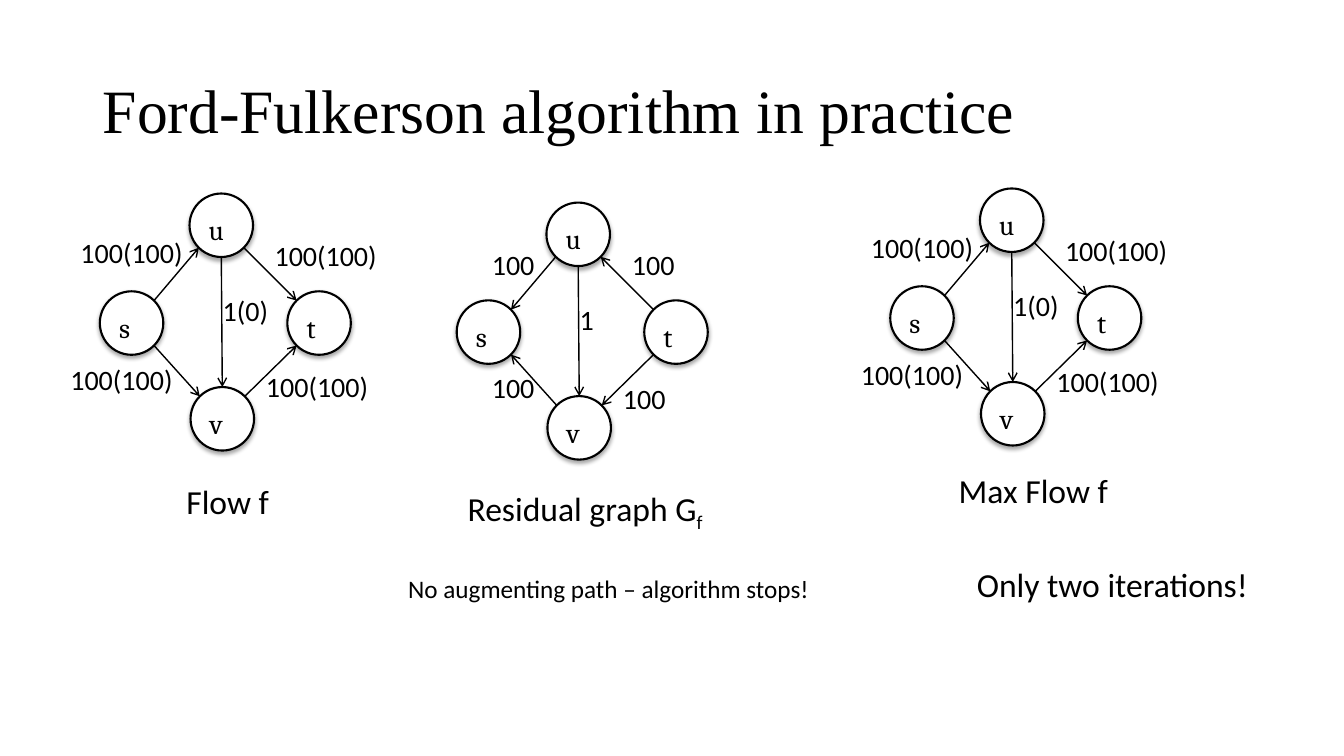
from dataclasses import dataclass
from math import sqrt

from lxml.etree import SubElement as Sub
from pptx import Presentation
from pptx.dml.color import RGBColor
from pptx.enum.shapes import MSO_CONNECTOR as Link, MSO_SHAPE as Shape
from pptx.enum.text import MSO_ANCHOR as Anchor, MSO_AUTO_SIZE as Fit, PP_ALIGN as Align
from pptx.oxml.ns import qn
from pptx.shapes.shapetree import GroupShapes
from pptx.text.text import Font
from pptx.util import Inches, Length, Pt

CELL = 0.1
SIDE = 6.3
BLACK, WHITE = "000000", "FFFFFF"
NODES = {"u": (8.9, 0), "t": (18.6, 9.7), "s": (0, 9.7), "v": (9, 19.2)}


@dataclass
class Label:
    """Text whose box starts at a column and row."""
    text: str
    col: float
    row: float
    wide: float
    size: int = 20
    sub: str = ""


@dataclass
class Edge:
    """Line between two nodes, leaving in direction (dx, dy)."""
    start: str
    end: str
    dx: int
    dy: int


@dataclass
class Graph:
    """Flow network placed at a column and row."""
    col: float
    row: float
    labels: list[Label]
    back: bool = False


EDGES = [Edge("s", "u", 1, -1), Edge("s", "v", 1, 1), Edge("u", "t", 1, 1),
         Edge("v", "t", 1, -1), Edge("u", "v", 0, 1)]


def flow(title: Label) -> list[Label]:
    """Labels of a network with saturated outer edges."""
    spots = [(-2.9, 3.7), (16.35, 4), (-3.9, 16.3), (15.5, 17)]
    outer = [Label("100(100)", col, row, 12.3) for col, row in spots]
    return [*outer, Label("1(0)", 11.2, 9.4, 6.6), title]


def rest(title: Label) -> list[Label]:
    """Labels of the residual network."""
    spots = [(2.5, 4), (16.4, 4), (2.5, 16.2), (15.5, 17.3)]
    outer = [Label("100", col, row, 6.4) for col, row in spots]
    return [*outer, Label("1", 11.2, 9.4, 3.4), title]


GRAPHS = [
    Graph(9.9, 19.2, flow(Label("Flow f", 7.6, 28, 10.3, 24))),
    Graph(45.3, 20.1, rest(Label("Residual graph G", 0.1, 27.8, 25.6, 24, "f")), True),
    Graph(88.3, 18.7, flow(Label("Max Flow f", 5.8, 27.4, 16.9, 24))),
]
NOTES = [Label("No augmenting path – algorithm stops!", 39.5, 56.4, 42.3, 18),
         Label("Only two iterations!", 95.9, 55.4, 29.2, 24)]


def grid(*cells: float) -> list[Length]:
    """Turn counts of grid cells into lengths."""
    return [Inches(n * CELL) for n in cells]


def paint(code: str) -> RGBColor:
    """Turn a hex string into a colour."""
    return RGBColor.from_string(code)


def style(font: Font, size: int, name: str) -> None:
    """Set the size, face and colour of a font."""
    font.size, font.name = Pt(size), name
    font.color.rgb = paint(BLACK)


def write(pen: GroupShapes, tag: Label, col: float = 0, row: float = 0) -> None:
    """Draw a label, shifted by a column and row."""
    box = pen.add_textbox(*grid(col + tag.col, row + tag.row, tag.wide, tag.size * 0.2 + 0.3))
    frame = box.text_frame
    frame.word_wrap, frame.auto_size = False, Fit.SHAPE_TO_FIT_TEXT
    frame.text = tag.text
    line = frame.paragraphs[0]
    if tag.sub:
        run = line.add_run()
        run.text = tag.sub
        run.font._element.set("baseline", "-25000")
    for run in line.runs:
        style(run.font, tag.size, "Calibri")


def node(pen: GroupShapes, name: str, col: float, row: float) -> None:
    """Draw a circle with its letter and a soft shadow."""
    disc = pen.add_shape(Shape.OVAL, *grid(col, row, SIDE, SIDE))
    disc.fill.solid()
    disc.fill.fore_color.rgb = paint(WHITE)
    disc.line.color.rgb = paint(BLACK)
    disc.line.width = Pt(1.5)
    disc.shadow.inherit = False
    glow = disc._element.spPr.find(qn("a:effectLst"))
    shade = Sub(glow, qn("a:outerShdw"), blurRad="38100", dist="25400",
                dir="5400000", rotWithShape="0")
    tint = Sub(shade, qn("a:srgbClr"), val=BLACK)
    Sub(tint, qn("a:alpha"), val="35000")
    frame = disc.text_frame
    frame.margin_left = frame.margin_right = Inches(0.1)
    frame.margin_top = frame.margin_bottom = Inches(0.1)
    frame.vertical_anchor = Anchor.TOP
    frame.text = name
    frame.paragraphs[0].alignment = Align.LEFT
    style(frame.paragraphs[0].runs[0].font, 20, "Cambria")


def rim(name: str, dx: int, dy: int) -> tuple[float, float]:
    """Find the point on a node's rim in a direction."""
    col, row = NODES[name]
    reach = SIDE / 2 / sqrt(dx * dx + dy * dy)
    return col + SIDE / 2 + dx * reach, row + SIDE / 2 + dy * reach


def arrow(pen: GroupShapes, edge: Edge, graph: Graph) -> None:
    """Draw an edge; outer ones point back in a residual graph."""
    x, y = rim(edge.start, edge.dx, edge.dy)
    p, q = rim(edge.end, -edge.dx, -edge.dy)
    col, row = graph.col, graph.row
    line = pen.add_connector(Link.STRAIGHT, *grid(col + x, row + y, col + p, row + q))
    line.line.color.rgb = paint(BLACK)
    line.line.width = Pt(1)
    end = "a:headEnd" if graph.back and edge.dx else "a:tailEnd"
    Sub(line.line._get_or_add_ln(), qn(end), type="arrow")
    Sub(line._element.spPr, qn("a:effectLst"))


def draw(pen: GroupShapes, graph: Graph) -> None:
    """Draw the nodes, edges and labels of a graph."""
    for name, (col, row) in NODES.items():
        node(pen, name, graph.col + col, graph.row + row)
    for edge in EDGES:
        arrow(pen, edge, graph)
    for tag in graph.labels:
        write(pen, tag, graph.col, graph.row)


def main() -> None:
    """Build the slide and save it."""
    deck = Presentation()
    deck.slide_width, deck.slide_height = Inches(13.33), Inches(7.5)
    slide = deck.slides.add_slide(deck.slide_layouts[5])
    head = slide.shapes.title
    head.left, head.top, head.width, head.height = grid(9.2, 4, 115, 14.5)
    head.text_frame.text = "Ford-Fulkerson algorithm in practice"
    head.text_frame.vertical_anchor = Anchor.MIDDLE
    line = head.text_frame.paragraphs[0]
    line.alignment, line.line_spacing = Align.LEFT, 0.9
    style(line.runs[0].font, 44, "Times New Roman")
    for graph in GRAPHS:
        draw(slide.shapes.add_group_shape().shapes, graph)
    for tag in NOTES:
        write(slide.shapes, tag)
    deck.save("out.pptx")


if __name__ == "__main__":
    main()
